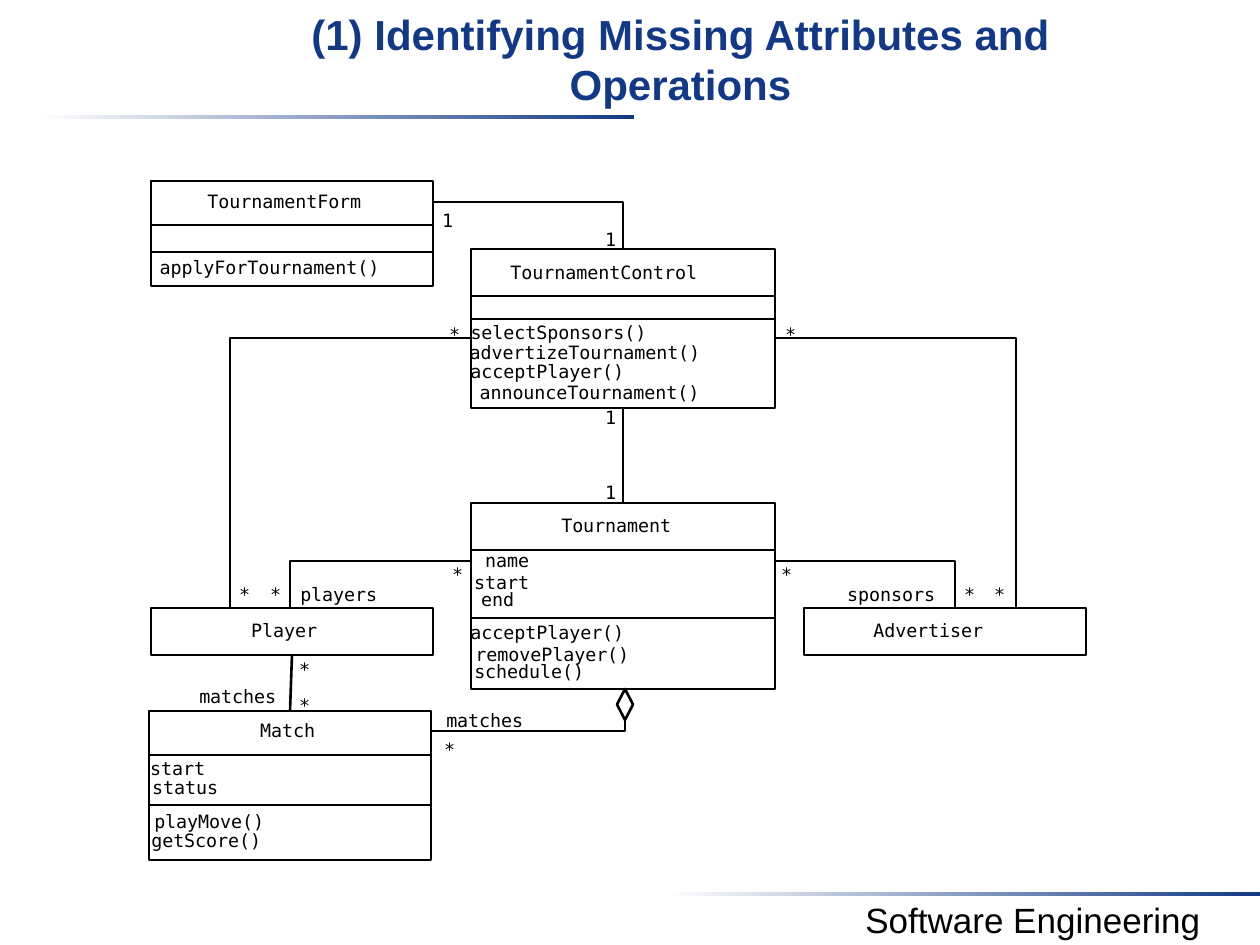
from itertools import pairwise
from lxml.etree import SubElement
from pptx import Presentation
from pptx.dml.color import RGBColor
from pptx.enum.shapes import MSO_CONNECTOR, MSO_SHAPE
from pptx.enum.text import MSO_ANCHOR, MSO_AUTO_SIZE, PP_ALIGN
from pptx.oxml.ns import qn
from pptx.util import Pt

PX = 914400 / 126
NAVY, BLACK, WHITE = "133984", "000000", "FFFFFF"
SANS, MONO = "Arial", "DejaVu Sans Mono"
CHAR, ROW = 11.06, 22

TITLE = "(1) Identifying Missing Attributes and Operations"
FOOTER = "Software Engineering"
BARS = [(39, 115), (665, 892)]

CLASSES = {
    "TournamentForm": (151, 282, [181, 225, 252, 286], [
        (207, 190, "TournamentForm"), (159, 256, "applyForTournament()")]),
    "TournamentControl": (471, 304, [249, 296, 319, 408], [
        (510, 261, "TournamentControl"),
        (470, 321, "selectSponsors()"), (469, 341, "advertizeTournament()"),
        (470, 360, "acceptPlayer()"), (479, 381, "announceTournament()")]),
    "Tournament": (471, 304, [503, 550, 618, 689], [
        (561, 514, "Tournament"),
        (485, 549, "name"), (474, 571, "start"), (481, 588, "end"),
        (470, 621, "acceptPlayer()"), (475, 643, "removePlayer()"),
        (474, 660, "schedule()")]),
    "Player": (151, 282, [608, 655], [(251, 619, "Player")]),
    "Advertiser": (804, 282, [608, 655], [(873, 619, "Advertiser")]),
    "Match": (149, 282, [711, 755, 805, 860], [
        (260, 719, "Match"), (150, 757, "start"), (152, 776, "status"),
        (154, 810, "playMove()"), (151, 829, "getScore()")]),
}
LINKS = [("TournamentControl", "Tournament"), ("Player", "Match")]
PATHS = [
    [(432, 202), (623, 202), (623, 249)],
    [(432, 731), (625, 731), (625, 703)],
    [(290, 608), (290, 561), (471, 561)],
    [(230, 608), (230, 338), (471, 338)],
    [(955, 608), (955, 561), (775, 561)],
    [(1016, 608), (1016, 338), (775, 338)],
]
DIAMOND = (617, 689, 16, 31)
LABELS = [
    (442, 209, "1"), (605, 228, "1"), (605, 406, "1"), (605, 481, "1"),
    (449, 323, "*"), (785, 323, "*"), (452, 563, "*"), (781, 563, "*"),
    (239, 583, "*"), (270, 583, "*"), (300, 583, "players"),
    (847, 583, "sponsors"), (964, 583, "*"), (994, 583, "*"),
    (299, 658, "*"), (199, 685, "matches"), (299, 694, "*"),
    (446, 709, "matches"), (444, 738, "*"),
]


def emu(*vals):
    return [round(v * PX) for v in vals]


def rgb(code):
    return RGBColor.from_string(code)


def style(frame, text, size, face, color, bold=False):
    frame.text = text
    para = frame.paragraphs[0]
    para.alignment = PP_ALIGN.CENTER
    font = para.font
    font.size, font.name, font.bold = Pt(size), face, bold
    font.color.rgb = rgb(color)


def ink(item):
    item.line.color.rgb = rgb(BLACK)
    item.line.width = Pt(1.5)


def outline(shape, fill=None):
    shape.shadow.inherit = False
    if fill:
        shape.fill.solid()
        shape.fill.fore_color.rgb = rgb(fill)
    else:
        shape.fill.background()
    ink(shape)


def label(shapes, x, y, text):
    box = shapes.add_textbox(*emu(x, y, CHAR * len(text), ROW))
    frame = box.text_frame
    frame.margin_left = frame.margin_right = 0
    frame.margin_top = frame.margin_bottom = 0
    frame.word_wrap = False
    style(frame, text, 10.5, MONO, BLACK)


def bar(shapes, x, y):
    shape = shapes.add_shape(MSO_SHAPE.RECTANGLE, *emu(x, y, 595, 4))
    shape.shadow.inherit = False
    shape.line.fill.background()
    shape.fill.gradient()
    shape.fill.gradient_angle = 0
    for stop, color, at in zip(shape.fill.gradient_stops, (WHITE, NAVY), (0, 1)):
        stop.color.rgb = rgb(color)
        stop.position = at


def entity(shapes, left, width, tops, texts):
    cells = []
    for top, low in pairwise(tops):
        cell = shapes.add_shape(MSO_SHAPE.RECTANGLE, *emu(left, top, width, low - top))
        outline(cell)
        cells.append(cell)
    for item in texts:
        label(shapes, *item)
    return cells


def link(shapes, upper, lower):
    line = shapes.add_connector(MSO_CONNECTOR.STRAIGHT, 0, 0, 0, 0)
    line.begin_connect(upper, 2)
    line.end_connect(lower, 0)
    ink(line)
    SubElement(line._element.spPr, qn("a:effectLst"))


def main():
    prs = Presentation()
    prs.slide_width, prs.slide_height = emu(1260, 945)
    slide = prs.slides.add_slide(prs.slide_layouts[5])
    shapes = slide.shapes

    title = shapes.title
    title.left, title.top, title.width, title.height = emu(189, 0, 983, 137)
    frame = title.text_frame
    frame.auto_size = MSO_AUTO_SIZE.NONE
    frame.vertical_anchor = MSO_ANCHOR.TOP
    frame.margin_top = emu(8)[0]
    style(frame, TITLE, 24, SANS, NAVY, True)

    for spot in BARS:
        bar(shapes, *spot)
    foot = shapes.add_textbox(*emu(806, 892, 454, 55)).text_frame
    foot.word_wrap = True
    style(foot, FOOTER, 20, SANS, BLACK)

    cells = {name: entity(shapes, *data) for name, data in CLASSES.items()}
    for upper, lower in LINKS:
        link(shapes, cells[upper][-1], cells[lower][0])
    for start, *rest in PATHS:
        path = shapes.build_freeform(*start, scale=PX)
        path.add_line_segments(rest, close=False)
        outline(path.convert_to_shape())
    outline(shapes.add_shape(MSO_SHAPE.DIAMOND, *emu(*DIAMOND)), WHITE)
    for item in LABELS:
        label(shapes, *item)
    prs.save("out.pptx")


if __name__ == "__main__":
    main()
